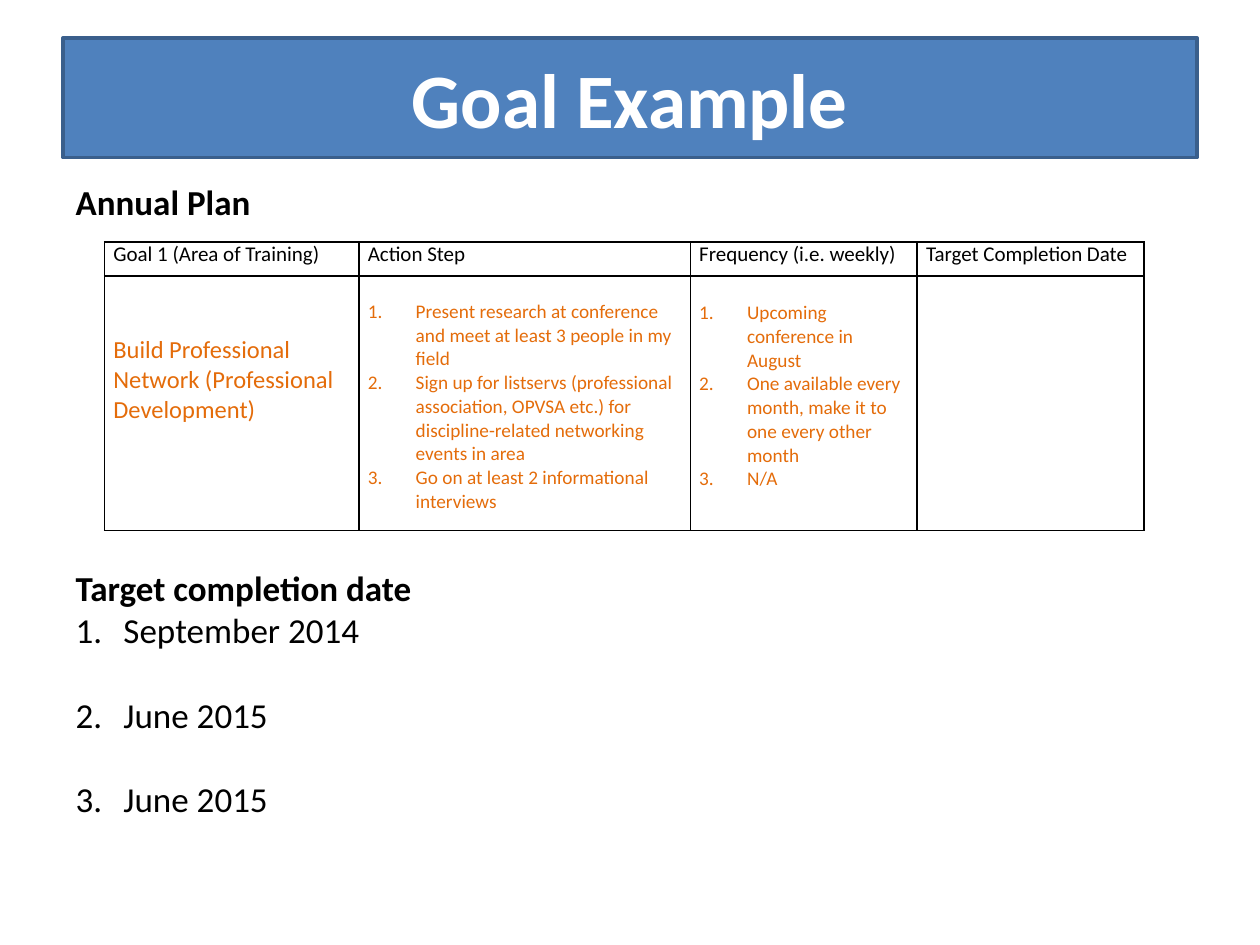
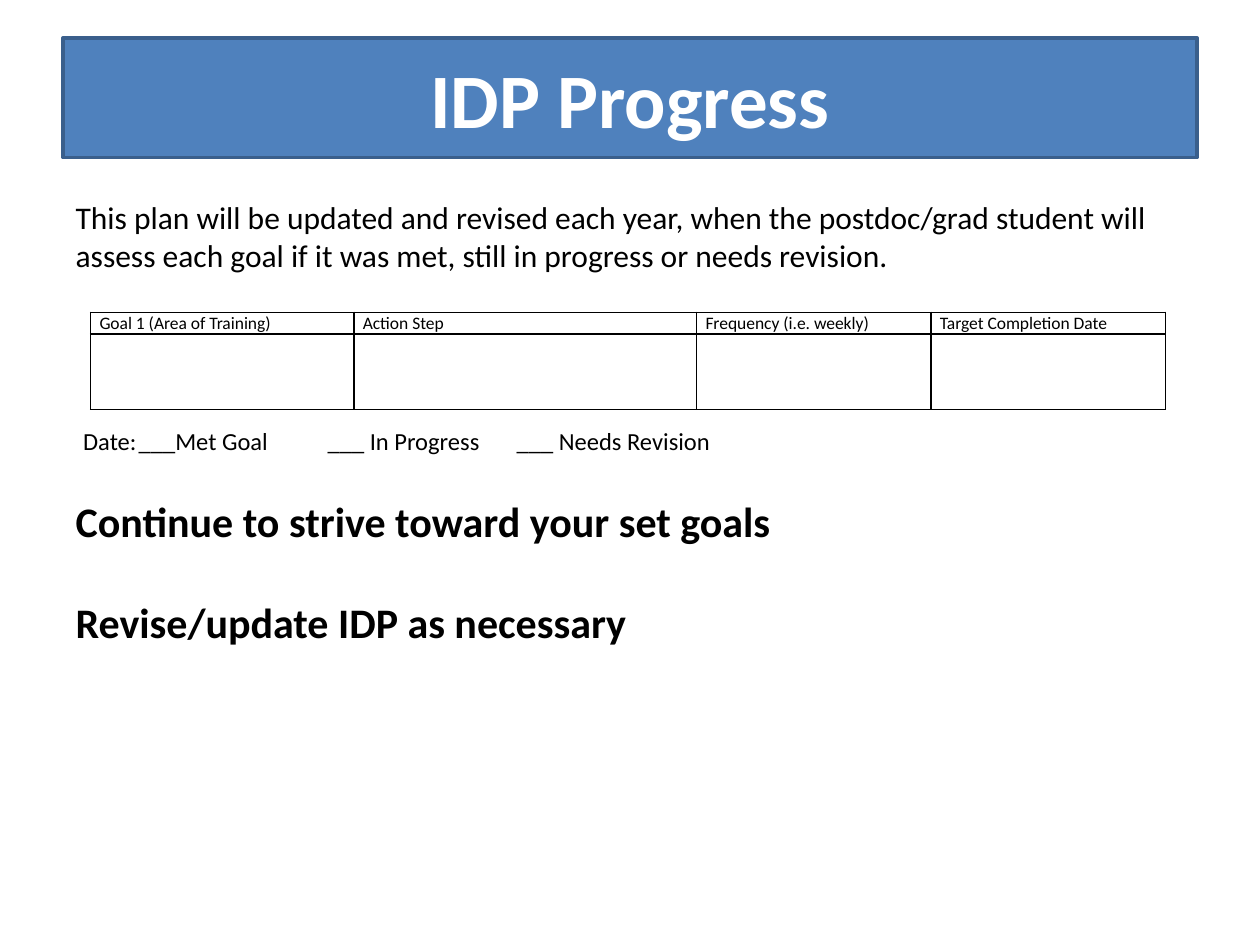
from dataclasses import dataclass

from lxml import etree
from pptx import Presentation
from pptx import util as u
from pptx.dml.color import RGBColor
from pptx.enum import text as t
from pptx.oxml.ns import qn


@dataclass(frozen=True)
class Theme:
    font: str = "Calibri"
    band: str = "4F81BD"
    edge: str = "3A5F8C"
    light: str = "FFFFFF"
    ink: str = "000000"
    accent: str = "E46C0A"
    title: int = 44
    call: int = 24
    head: int = 20
    text: int = 18
    goal: int = 14
    label: int = 12
    step: int = 11
    small: int = 10


THEME = Theme()
LABELS = ["Goal 1 (Area of Training)", "Action Step",
          "Frequency (i.e. weekly)", "Target Completion Date"]
STEPS = [
    "Present research at conference and meet at least 3 people in my field",
    "Sign up for listservs (professional association, OPVSA etc.) for "
    "discipline-related networking events in area",
    "Go on at least 2 informational interviews",
]
TIMES = ["Upcoming conference in August",
         "One available every month, make it to one every other month",
         "N/A"]
DATES = ["September 2014", "June 2015", "June 2015"]


def color(code):
    return RGBColor.from_string(code)


def place(shape, left, top, width, height):
    shape.left, shape.top = u.Inches(left), u.Inches(top)
    shape.width, shape.height = u.Inches(width), u.Inches(height)


def style(para, size, ink=THEME.ink, bold=False):
    font = para.font
    font.name, font.size, font.bold = THEME.font, u.Pt(size), bold
    font.color.rgb = color(ink)


def write(frame, line, size, ink=THEME.ink, bold=False, gap=0,
          number=False, first=0, tabs=()):
    """Add a paragraph; gap is the space before it in points."""
    used = frame.paragraphs[0].text
    para = frame.add_paragraph() if used else frame.paragraphs[0]
    para.text = line
    para.space_before = u.Pt(gap)
    props = para._p.get_or_add_pPr()
    hang = 0.38 if number else 0
    props.set("marL", str(u.Inches(hang)))
    props.set("indent", str(u.Inches(first - hang)))
    if number:
        etree.SubElement(props, qn("a:buAutoNum"), type="arabicPeriod")
    else:
        etree.SubElement(props, qn("a:buNone"))
    if tabs:
        stops = etree.SubElement(props, qn("a:tabLst"))
        for pos in tabs:
            etree.SubElement(stops, qn("a:tab"), pos=str(u.Inches(pos)),
                             algn="l")
    style(para, size, ink, bold)


def add_page(deck, title, top, height):
    """Add a slide with its title band and return it with its body frame."""
    slide = deck.slides.add_slide(deck.slide_layouts[1])
    band = slide.shapes.title
    place(band, 0.5, 0.3, 9, 0.95)
    band.fill.solid()
    band.fill.fore_color.rgb = color(THEME.band)
    band.line.color.rgb = color(THEME.edge)
    band.line.width = u.Pt(2)
    frame = band.text_frame
    frame.text = title
    frame.vertical_anchor = t.MSO_ANCHOR.MIDDLE
    para = frame.paragraphs[0]
    para.alignment = t.PP_ALIGN.CENTER
    style(para, THEME.title, THEME.light, True)

    body = slide.placeholders[1]
    place(body, 0.5, top, 9, height)
    body.text_frame.auto_size = t.MSO_AUTO_SIZE.NONE
    return slide, body.text_frame


def frame_cell(cell):
    cell.fill.background()
    cell.margin_left = cell.margin_right = u.Inches(0.07)
    cell.margin_top = cell.margin_bottom = 0
    props = cell._tc.get_or_add_tcPr()
    for spot, side in enumerate(("lnL", "lnR", "lnT", "lnB")):
        line = etree.Element(qn("a:" + side), w=str(u.Pt(1)))
        fill = etree.SubElement(line, qn("a:solidFill"))
        etree.SubElement(fill, qn("a:srgbClr"), val=THEME.ink)
        props.insert(spot, line)


def add_plan(slide, left, top, cols, rows, size):
    """Add the goal table with its labels and an empty second row."""
    shape = slide.shapes.add_table(
        len(rows), len(cols), u.Inches(left), u.Inches(top),
        u.Inches(sum(cols)), u.Inches(sum(rows)))
    table = shape.table
    table.first_row = table.horz_banding = False
    for col, width in zip(table.columns, cols):
        col.width = u.Inches(width)
    for row, height in zip(table.rows, rows):
        row.height = u.Inches(height)
    for cell in table.iter_cells():
        frame_cell(cell)
    for spot, label in enumerate(LABELS):
        write(table.cell(0, spot).text_frame, label, size)
    return table


def fill_cell(cell, lines, size, top, number=False):
    cell.margin_top = u.Inches(top)
    for line in lines:
        write(cell.text_frame, line, size, THEME.accent, number=number)


def add_goal(deck):
    slide, body = add_page(deck, "Goal Example", 1.38, 5.49)
    write(body, "Annual Plan", THEME.head, bold=True)
    write(body, "Target completion date", THEME.head, bold=True, gap=197)
    for spot, date in enumerate(DATES):
        write(body, date, THEME.head, gap=24 if spot else 0, number=True)

    plan = add_plan(slide, 0.83, 1.92, [2.02, 2.63, 1.8, 1.8],
                    [0.27, 2.02], THEME.label)
    goal = ["Build Professional Network (Professional Development)"]
    fill_cell(plan.cell(1, 0), goal, THEME.goal, 0.47)
    fill_cell(plan.cell(1, 1), STEPS, THEME.step, 0.19, True)
    fill_cell(plan.cell(1, 2), TIMES, THEME.step, 0.2, True)


def add_progress(deck):
    slide, body = add_page(deck, "IDP Progress", 1.52, 3.67)
    write(body, "This plan will be updated and revised each year, when the "
          "postdoc/grad student will assess each goal if it was met, still "
          "in progress or needs revision.", THEME.text)
    write(body, "Date:\t___Met Goal\t___ In Progress\t___ Needs Revision",
          THEME.goal, gap=87, first=0.06, tabs=(2.04, 4, 6))
    write(body, "Continue to strive toward your set goals", THEME.call,
          bold=True, gap=23)
    write(body, "Revise/update IDP as necessary", THEME.call,
          bold=True, gap=29)
    add_plan(slide, 0.72, 2.48, [2.09, 2.72, 1.86, 1.86],
             [0.17, 0.6], THEME.small)


def main():
    deck = Presentation()
    deck.slide_width, deck.slide_height = u.Inches(10), u.Inches(7.5)
    add_goal(deck)
    add_progress(deck)
    deck.save("out.pptx")


if __name__ == "__main__":
    main()
